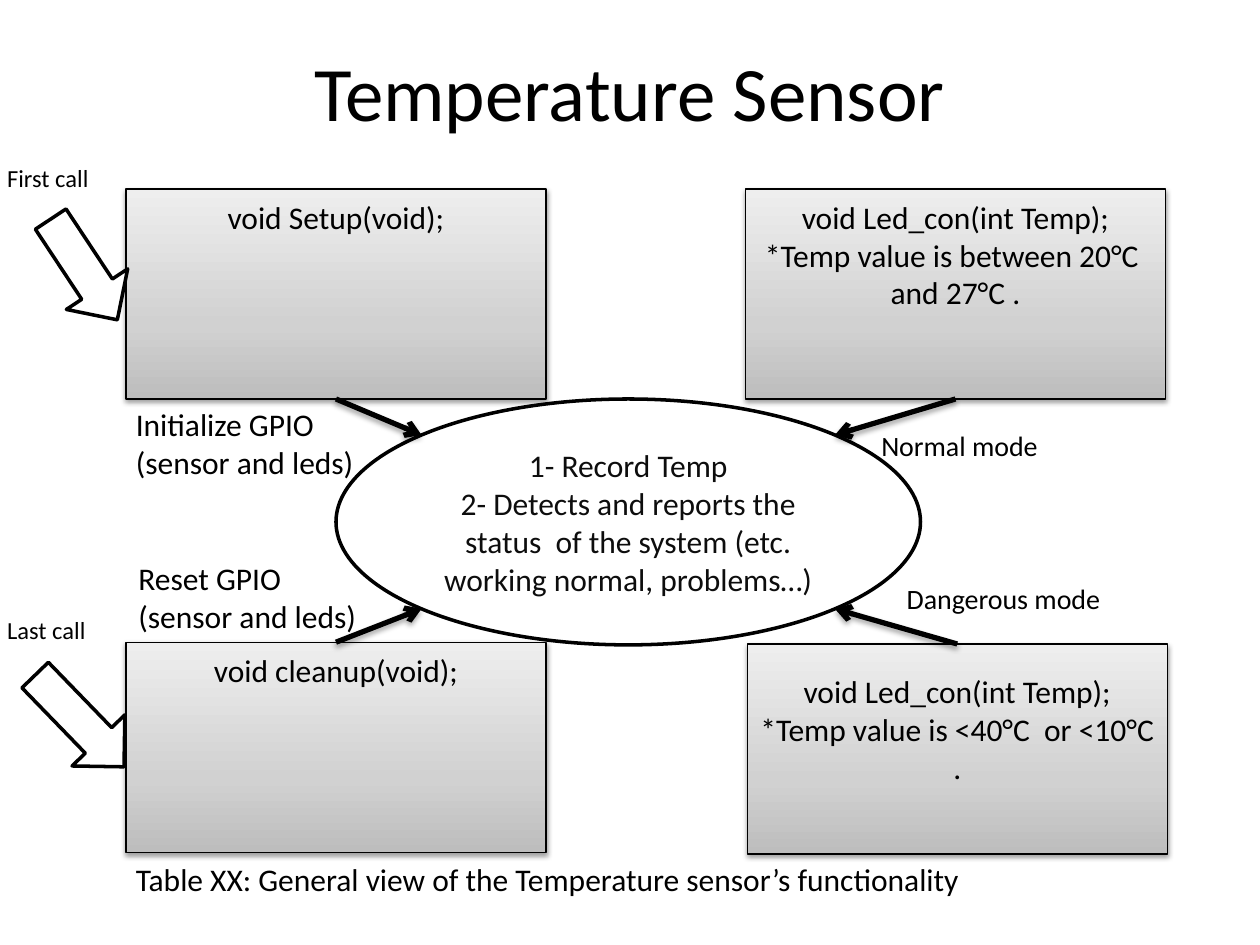
import math

import pptx
import pptx.dml.color
import pptx.enum.shapes
import pptx.enum.text
import pptx.oxml
import pptx.oxml.ns
import pptx.util

Pt = pptx.util.Pt
SHAPE = pptx.enum.shapes.MSO_SHAPE
ALIGN = pptx.enum.text.PP_ALIGN
ANCHOR = pptx.enum.text.MSO_ANCHOR
BLACK, WHITE, INK = "000000", "FFFFFF", "0D0D0D"
STOPS = [(0, "BDBDBD"), (35, "D1D1D1"), (100, "EEEEEE")]


def color(code):
    """Turn a hex string into a colour."""
    return pptx.dml.color.RGBColor.from_string(code)


def node(name, rest):
    """Make a drawing element from its name and the rest of its markup."""
    return pptx.oxml.parse_xml(f"<a:{name} {pptx.oxml.ns.nsdecls('a')} {rest}")


def shade(item, alpha, dist):
    """Give a shape or connector a soft shadow below it."""
    props = item._element.spPr
    for old in props.findall(pptx.oxml.ns.qn("a:effectLst")):
        props.remove(old)
    props.append(node("effectLst", (
        f'><a:outerShdw blurRad="{Pt(3.1)}" dist="{Pt(dist)}" '
        f'dir="5400000" rotWithShape="0"><a:srgbClr val="{BLACK}">'
        f'<a:alpha val="{alpha * 1000}"/></a:srgbClr></a:outerShdw></a:effectLst>')))


def grade(shape):
    """Fill a shape with grey that lightens upwards."""
    stops = "".join(f'<a:gs pos="{at * 1000}"><a:srgbClr val="{code}"/></a:gs>'
                    for at, code in STOPS)
    shape._element.spPr.insert(2, node("gradFill", (
        f'rotWithShape="1"><a:gsLst>{stops}</a:gsLst>'
        '<a:lin ang="16200000" scaled="0"/></a:gradFill>')))


def write(frame, lines, size, code=BLACK, align=ALIGN.LEFT):
    """Write one paragraph per line."""
    frame.word_wrap = True
    frame.text = "\n".join(lines)
    for para in frame.paragraphs:
        para.alignment = align
        para.font.name = "Calibri"
        para.font.size = Pt(size)
        para.font.color.rgb = color(code)


def label(slide, text, left, top, width, height, size, align=ALIGN.LEFT):
    """Add a text box and return it."""
    box = slide.shapes.add_textbox(Pt(left), Pt(top), Pt(width), Pt(height))
    write(box.text_frame, [text], size, align=align)
    return box


def outline(slide, kind, left, top, width, height, weight=2):
    """Add a preset shape with a black line and no shadow."""
    shape = slide.shapes.add_shape(kind, Pt(left), Pt(top), Pt(width), Pt(height))
    shape.shadow.inherit = False
    shape.line.color.rgb = color(BLACK)
    shape.line.width = Pt(weight)
    return shape


def plain(slide, kind, *place):
    """Add an outlined white shape."""
    shape = outline(slide, kind, *place)
    shape.fill.solid()
    shape.fill.fore_color.rgb = color(WHITE)
    return shape


def block(slide, left, top, lines, inset=5):
    """Add a grey box with a function and its note."""
    box = outline(slide, SHAPE.FLOWCHART_PROCESS, left, top, 240, 120, 0.75)
    grade(box)
    shade(box, 38, 1.6)
    box.text_frame.vertical_anchor = ANCHOR.TOP
    box.text_frame.margin_top = Pt(inset)
    write(box.text_frame, lines, 18, align=ALIGN.CENTER)
    return box


def link(slide, box, side, hub, across, down):
    """Draw an arrow from a side of a box to a diagonal point of the hub."""
    reach = math.sqrt(0.5) / 2
    end_x = hub.left + int(hub.width * (0.5 + across * reach))
    end_y = hub.top + int(hub.height * (0.5 + down * reach))
    line = slide.shapes.add_connector(
        pptx.enum.shapes.MSO_CONNECTOR.STRAIGHT, 0, 0, end_x, end_y)
    line.begin_connect(box, side)
    line.line.color.rgb = color(BLACK)
    line.line.width = Pt(3)
    line.line._get_or_add_ln().append(node("tailEnd", 'type="arrow"/>'))
    shade(line, 35, 1.8)


def main():
    """Build the slide and save it."""
    deck = pptx.Presentation()
    deck.slide_width, deck.slide_height = Pt(720), Pt(540)
    slide = deck.slides.add_slide(deck.slide_layouts[6])

    title = label(slide, "Temperature Sensor", 54, -6, 612, 116, 44, ALIGN.CENTER)
    title.text_frame.vertical_anchor = ANCHOR.MIDDLE

    setup = block(slide, 72, 108, ["void Setup(void);"])
    danger = block(slide, 427, 368, ["void Led_con(int Temp);",
                                     "*Temp value is <40°C  or <10°C ."], 16)
    normal = block(slide, 426, 108, ["void Led_con(int Temp);",
                                     "*Temp value is between 20°C  and 27°C ."])
    clean = block(slide, 72, 367, ["void cleanup(void);"])

    hub = plain(slide, SHAPE.OVAL, 192, 228, 334, 140.5)
    hub.text_frame.vertical_anchor = ANCHOR.MIDDLE
    write(hub.text_frame,
          ["1- Record Temp", "2- Detects and reports the status  of the system "
           "(etc. working normal, problems…)"], 18, INK, ALIGN.CENTER)

    for box, side, across, down in [(normal, 2, 1, -1), (setup, 2, -1, -1),
                                    (danger, 0, 1, 1), (clean, 0, -1, 1)]:
        link(slide, box, side, hub, across, down)

    for left, top, width, turn in [(13.5, 133, 69, 56.5), (9, 391, 73, 45.9)]:
        call = plain(slide, SHAPE.RIGHT_ARROW, left, top, width, 42)
        call.rotation = turn

    for args in [
        ("Table XX: General view of the Temperature sensor’s functionality",
         70.5, 488, 597, 29, 18),
        ("First call", -3, 89.5, 103, 24, 14),
        ("Last call", -3, 348, 130, 24, 14),
        ("Initialize GPIO (sensor and leds)", 70.5, 228, 140, 51, 18),
        ("Normal mode", 496.5, 241.5, 140, 27, 16),
        ("Dangerous mode", 511, 328.5, 140, 27, 16),
        ("Reset GPIO (sensor and leds)", 72, 316, 140, 51, 18),
    ]:
        label(slide, *args)

    deck.save("out.pptx")


if __name__ == "__main__":
    main()
